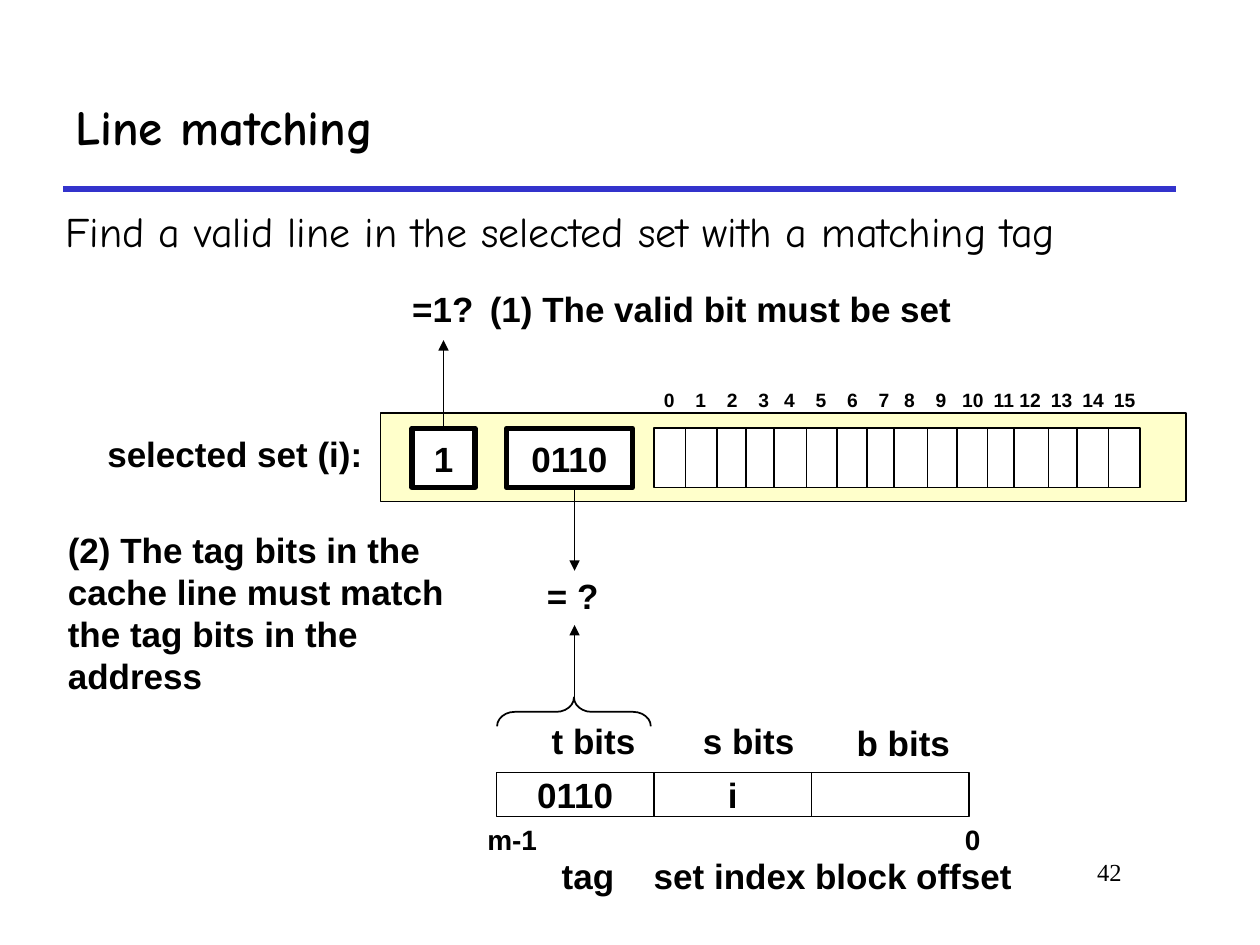
"""Build the slide that explains line matching in a cache set."""
from lxml.etree import SubElement
from pptx import Presentation
from pptx.dml.color import RGBColor
from pptx.enum.shapes import MSO_CONNECTOR, MSO_SHAPE
from pptx.enum.text import MSO_ANCHOR, MSO_AUTO_SIZE, PP_ALIGN
from pptx.oxml.ns import qn
from pptx.util import Inches, Pt

COLORS = {"ink": "000000", "rule": "3333CC", "set": "FFFF99", "cell": "FFFFFF"}
LEFT, CENTER, RIGHT = PP_ALIGN.LEFT, PP_ALIGN.CENTER, PP_ALIGN.RIGHT
TOP, MIDDLE = MSO_ANCHOR.TOP, MSO_ANCHOR.MIDDLE
LABEL = {"name": "Arial", "size": Pt(20), "bold": True}
SMALL = LABEL | {"size": Pt(16)}
INDEX = LABEL | {"size": Pt(11)}
TITLE = {"name": "Comic Neue", "size": Pt(28), "bold": True}
LEAD = {"name": "Comic Neue", "size": Pt(24), "bold": False}
NUMBER = {"name": "Times New Roman", "size": Pt(14), "bold": False}

WRAPPED_TEXTS = [
    ("Line matching", (0.5, 0.5, 8.83, 1), TITLE, LEFT, MIDDLE),
    ("Find a valid line in the selected set with a matching tag", (0.42, 1.58, 8.92, 0.5), LEAD, LEFT, TOP),
    ("(2) The tag bits in the cache line must match the tag bits in the address",
     (0.44, 4.14, 3.64, 1.44), LABEL, LEFT, MIDDLE),
    ("42", (7.58, 6.75, 1.42, 0.5), NUMBER, RIGHT, TOP),
]
LABELS = [
    ("=1?", (3.15, 2.23, 0.73, 0.44), LABEL, CENTER, MIDDLE),
    ("(1) The valid bit must be set", (3.75, 2.23, 3.94, 0.44), LABEL, CENTER, MIDDLE),
    ("selected set (i):", (0.71, 3.38, 2.31, 0.44), LABEL, CENTER, MIDDLE),
    ("= ?", (4.22, 4.51, 0.65, 0.44), LABEL, CENTER, MIDDLE),
    ("t bits", (4.28, 5.66, 0.92, 0.43), LABEL, LEFT, TOP),
    ("s bits", (5.48, 5.66, 0.99, 0.43), LABEL, LEFT, TOP),
    ("b bits", (6.7, 5.68, 1, 0.43), LABEL, LEFT, TOP),
    ("m-1", (3.73, 6.48, 0.67, 0.37), SMALL, CENTER, MIDDLE),
    ("0", (7.54, 6.48, 0.36, 0.37), SMALL, CENTER, MIDDLE),
    ("tag", (4.36, 6.73, 0.68, 0.43), LABEL, LEFT, TOP),
    ("set index", (5.09, 6.73, 1.47, 0.43), LABEL, LEFT, TOP),
    ("block offset", (6.37, 6.73, 1.82, 0.43), LABEL, LEFT, TOP),
]
ADDRESS_FIELDS = ["0110", "i", ""]
ADDRESS_LEFT, ADDRESS_WIDTH = 3.94, 1.25
ROW_TOP, ROW_HEIGHT = 3.4, 0.47
BLOCK_LEFT, BLOCK_LAST, BLOCK_WIDTH = 5.19, 8.05, 0.5
BLOCK_COUNT, DIVIDER_STEP = 8, 0.48


def write(shape, text, font, align, anchor, wrap):
    """Fill a shape with one formatted paragraph."""
    frame = shape.text_frame
    frame.word_wrap = wrap
    frame.vertical_anchor = anchor
    paragraph = frame.paragraphs[0]
    paragraph.alignment = align
    run = paragraph.add_run()
    run.text = text
    for name, value in font.items():
        setattr(run.font, name, value)
    run.font.color.rgb = RGBColor.from_string(COLORS["ink"])
    return paragraph


def add_text(slide, text, place, font, align, anchor, wrap):
    """Add a text box."""
    box = slide.shapes.add_textbox(*map(Inches, place))
    paragraph = write(box, text, font, align, anchor, wrap)
    if not wrap:
        box.text_frame.auto_size = MSO_AUTO_SIZE.SHAPE_TO_FIT_TEXT
    return box, paragraph


def add_box(slide, place, fill=None, width=1, text="", kind=MSO_SHAPE.RECTANGLE):
    """Add an outlined shape with an optional centred label."""
    shape = slide.shapes.add_shape(kind, *map(Inches, place))
    shape.shadow.inherit = False
    if fill:
        shape.fill.solid()
        shape.fill.fore_color.rgb = RGBColor.from_string(COLORS[fill])
    else:
        shape.fill.background()
    shape.line.color.rgb = RGBColor.from_string(COLORS["ink"])
    shape.line.width = Pt(width)
    if text:
        write(shape, text, LABEL, CENTER, MIDDLE, False)
    return shape


def add_line(slide, start, end, width=1, color="ink", arrow=False):
    """Add a straight connector, with an arrowhead at its end if asked."""
    line = slide.shapes.add_connector(MSO_CONNECTOR.STRAIGHT, *map(Inches, start + end))
    line.line.color.rgb = RGBColor.from_string(COLORS[color])
    line.line.width = Pt(width)
    if arrow:
        SubElement(line.line._get_or_add_ln(), qn("a:tailEnd"), type="triangle")
    SubElement(line._element.spPr, qn("a:effectLst"))
    return line


def add_block(slide):
    """Add the sixteen numbered bytes of the cache line."""
    pair_step = (BLOCK_LAST - BLOCK_LEFT) / (BLOCK_COUNT / 2 - 1)
    for index in range(BLOCK_COUNT):
        left = BLOCK_LEFT + index // 2 * pair_step + index % 2 * BLOCK_WIDTH
        add_box(slide, (left, ROW_TOP, BLOCK_WIDTH, ROW_HEIGHT), "cell")
        first = 2 * index
        box, paragraph = add_text(slide, f"{first}\t{first + 1}", (left, 2.94, BLOCK_WIDTH, ROW_HEIGHT),
                                  INDEX, LEFT, MIDDLE, True)
        box.text_frame.margin_left = Inches(0.08 if first < 10 else 0.04)
        box.text_frame.margin_right = 0
        tabs = SubElement(paragraph._p.get_or_add_pPr(), qn("a:tabLst"))
        SubElement(tabs, qn("a:tab"), pos=str(Inches(0.25)), algn="l")
    for index in range(BLOCK_COUNT):
        x = BLOCK_LEFT + BLOCK_WIDTH / 2 + index * DIVIDER_STEP
        add_line(slide, (x, ROW_TOP), (x, ROW_TOP + ROW_HEIGHT), 0.75)


def main():
    """Assemble and save the slide."""
    presentation = Presentation()
    presentation.slide_width, presentation.slide_height = Inches(10), Inches(7.5)
    slide = presentation.slides.add_slide(presentation.slide_layouts[6])

    add_line(slide, (0.5, 1.5), (9.33, 1.5), 3, "rule")
    selected_set = add_box(slide, (3.02, 3.28, 6.39, 0.7), "set")
    set_color = selected_set.fill._xPr.find(qn("a:solidFill"))[0]
    SubElement(set_color, qn("a:alpha"), val="50000")

    valid = add_box(slide, (3.27, ROW_TOP, 0.5, ROW_HEIGHT), "cell", 3, "1")
    valid_arrow = add_line(slide, (3.52, ROW_TOP), (3.52, 2.7), arrow=True)
    valid_arrow.begin_connect(valid, 0)
    add_line(slide, (4.56, 3.77), (4.56, 4.53), arrow=True)
    add_box(slide, (4.02, ROW_TOP, 1, ROW_HEIGHT), "cell", 3, "0110")
    add_block(slide)

    for index, text in enumerate(ADDRESS_FIELDS):
        left = ADDRESS_LEFT + index * ADDRESS_WIDTH
        add_box(slide, (left, 6.13, ADDRESS_WIDTH, 0.35), text=text)
    brace = add_box(slide, (4.44, 5.04, 0.23, 1.22), kind=MSO_SHAPE.LEFT_BRACE)
    brace.rotation = 90
    brace.adjustments[0] = 0.61
    add_line(slide, (4.56, 5.53), (4.56, 4.96), arrow=True)

    for texts, wrap in ((WRAPPED_TEXTS, True), (LABELS, False)):
        for item in texts:
            add_text(slide, *item, wrap)
    presentation.save("out.pptx")


if __name__ == "__main__":
    main()
